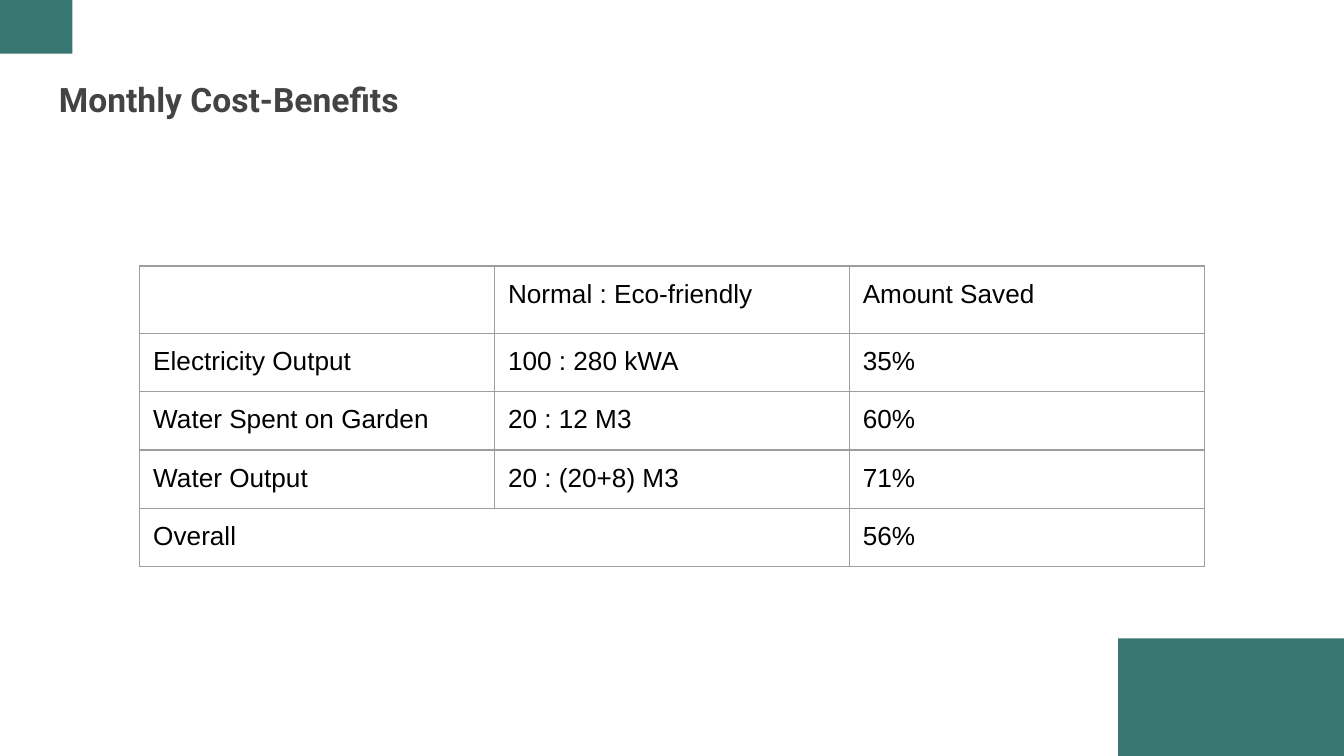
from pptx import Presentation
from pptx.dml.color import RGBColor as RGB
from pptx.enum.shapes import MSO_SHAPE as SHAPE
from pptx.oxml import parse_xml
from pptx.oxml.ns import nsdecls
from pptx.util import Inches, Pt

# Content
TITLE = "Monthly Cost-Benefits"
ROWS = [
    ("", "Normal : Eco-friendly", "Amount Saved"),
    ("Electricity Output", "100 : 280 kWA", "35%"),
    ("Water Spent on Garden", "20 : 12 M3", "60%"),
    ("Water Output", "20 : (20+8) M3", "71%"),
    ("Overall", "", "56%"),
]
CORNER_BLOCKS = [(-0.24, -0.2, 0.78, 0.6), (8.32, 4.75, 2.84, 0.97)]

# Layout in inches
TITLE_BOX = (0.34, 0.49, 9.32, 0.63)
TABLE_LEFT, TABLE_TOP = 1.04, 1.98
COL_W, ROW_H = 2.64, 0.42
INSET = Inches(0.1)

THEME = {
    "block": RGB.from_string("387771"),
    "title": ("Roboto", 18, RGB.from_string("434343")),
    "body": ("Arial", 14, RGB.from_string("000000")),
    "border": "9E9E9E",
    "border_pt": 0.75,
}


def set_font(p, style):
    p.font.name, size, p.font.color.rgb = THEME[style]
    p.font.size = Pt(size)


def set_insets(box):
    box.margin_left = box.margin_right = INSET
    box.margin_top = box.margin_bottom = INSET


def set_borders(cell):
    tc_pr = cell._tc.get_or_add_tcPr()
    for i, side in enumerate(("lnL", "lnR", "lnT", "lnB")):
        tc_pr.insert(i, parse_xml(
            f'<a:{side} {nsdecls("a")} w="{Pt(THEME["border_pt"])}"><a:solidFill>'
            f'<a:srgbClr val="{THEME["border"]}"/></a:solidFill></a:{side}>'))


# A 16:9 slide
prs = Presentation()
prs.slide_width = Inches(10)
prs.slide_height = Inches(10 * 9 / 16)
slide = prs.slides.add_slide(prs.slide_layouts[6])

# Corner blocks, bleeding off the slide edges
for box in CORNER_BLOCKS:
    sp = slide.shapes.add_shape(SHAPE.RECTANGLE, *map(Inches, box))
    sp.shadow.inherit = False
    sp.fill.solid()
    sp.fill.fore_color.rgb = THEME["block"]
    sp.line.fill.background()

# Title
tf = slide.shapes.add_textbox(*map(Inches, TITLE_BOX)).text_frame
tf.word_wrap = True
set_insets(tf)
p = tf.paragraphs[0]
p.text = TITLE
set_font(p, "title")
p.font.bold = True

# Table; the blank header cell keeps the default size, which deepens its row
n_rows, n_cols = len(ROWS), len(ROWS[0])
table = slide.shapes.add_table(
    n_rows, n_cols, Inches(TABLE_LEFT), Inches(TABLE_TOP),
    Inches(COL_W * n_cols), Inches(ROW_H * n_rows)).table
table.first_row = table.horz_banding = False
for col in table.columns:
    col.width = Inches(COL_W)
for row, texts in zip(table.rows, ROWS):
    row.height = Inches(ROW_H)
    for cell, text in zip(row.cells, texts):
        if text:
            cell.text = text
            set_font(cell.text_frame.paragraphs[0], "body")
        set_insets(cell)
        cell.fill.background()
        set_borders(cell)

# The total's label spans the first two columns
table.cell(n_rows - 1, 0).merge(table.cell(n_rows - 1, 1))

prs.save("out.pptx")
